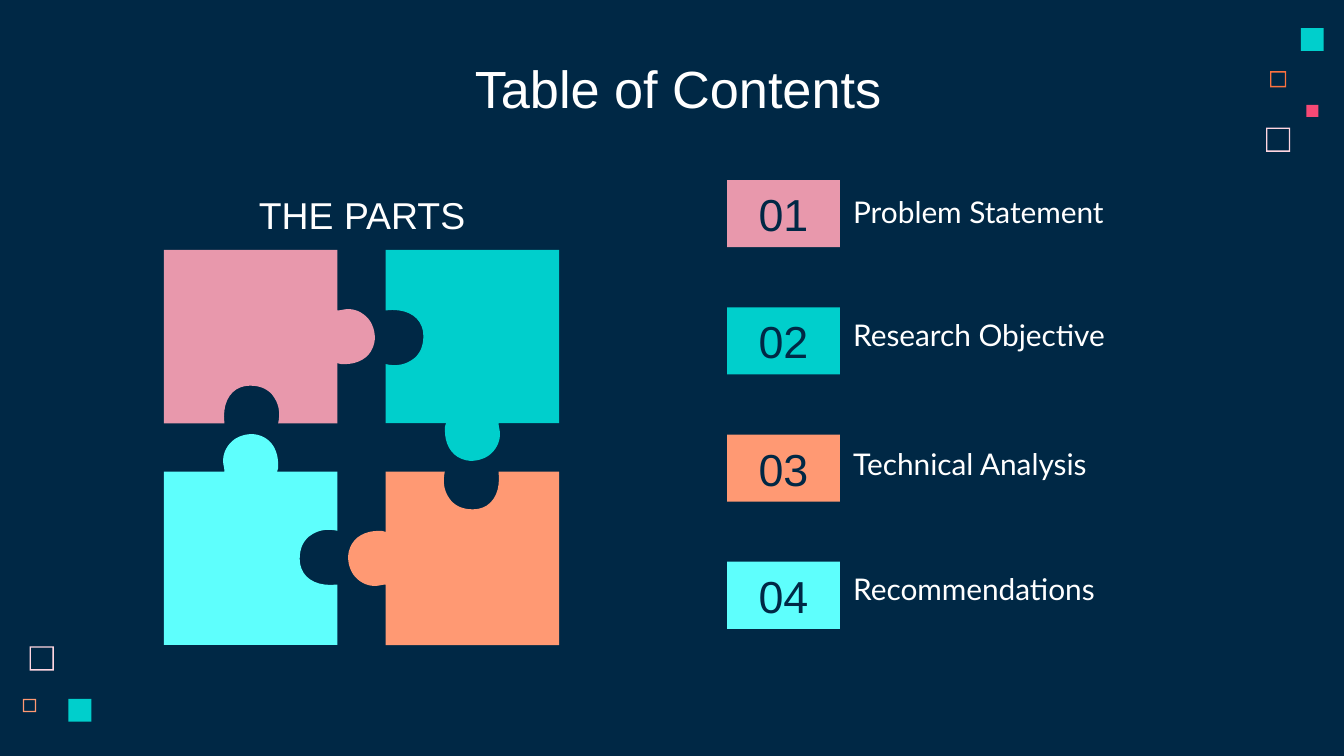
from pptx import Presentation
from pptx.dml.color import RGBColor
from pptx.enum.shapes import MSO_SHAPE
from pptx.enum.text import MSO_ANCHOR, MSO_AUTO_SIZE, PP_ALIGN
from pptx.util import Inches, Pt

NAVY, WHITE = "002845", "FFFFFF"
PINK, TEAL, ORANGE, CYAN = "E898AC", "00CFCC", "FF9973", "5EFFFD"
BLUSH, RUST, RED = "FFD6E1", "FC723F", "F64975"

# Numbered rows: label, colour, top of the label
ROWS = [
    ("Problem Statement", PINK, 1.34),
    ("Research Objective", TEAL, 2.26),
    ("Technical Analysis", ORANGE, 3.22),
    ("Recommendations", CYAN, 4.15),
]
FIRST_ROW, LAST_ROW = 1.34, 4.18

# Corner squares: left, top, size, colour, hollow
SQUARES = [
    (9.42, 0.95, 0.18, BLUSH, True),
    (9.45, 0.53, 0.12, RUST, True),
    (9.68, 0.21, 0.17, TEAL, False),
    (0.17, 5.2, 0.1, ORANGE, True),
    (9.72, 0.78, 0.09, RED, False),
    (0.22, 4.81, 0.18, BLUSH, True),
    (0.51, 5.2, 0.17, TEAL, False),
]
FRAME_WIDTH = 0.01

# Puzzle piece with its socket at the bottom and its tab on the right;
# one point is a line, three points are a curve
PIECE, PITCH = 1.29, 1.65
PUZZLE_LEFT, PUZZLE_TOP = 1.22, 1.86
OUTLINE = [
    [(0, 0)], [(0, 1.29)], [(0.45, 1.29)],
    [(0.43, 1.12), (0.51, 1.01), (0.64, 1.01)],
    [(0.71, 1.01), (0.76, 1.03), (0.8, 1.07)],
    [(0.85, 1.13), (0.87, 1.2), (0.85, 1.29)],
    [(1.29, 1.29)], [(1.29, 0.84)],
    [(1.31, 0.85), (1.32, 0.85), (1.34, 0.85)],
    [(1.47, 0.85), (1.56, 0.78), (1.57, 0.66)],
    [(1.57, 0.6), (1.55, 0.54), (1.51, 0.5)],
    [(1.47, 0.46), (1.42, 0.44), (1.37, 0.44)],
    [(1.34, 0.44), (1.32, 0.45), (1.29, 0.45)],
    [(1.29, 0)],
]
# Column, row, quarter turns and colour
PIECES = [(0, 0, 0, PINK), (1, 1, 2, ORANGE), (1, 0, 1, TEAL), (0, 1, 3, CYAN)]


def rgb(color):
    return RGBColor.from_string(color)


def paint(sp, color):
    sp.fill.solid()
    sp.fill.fore_color.rgb = rgb(color)
    sp.line.fill.background()
    sp.shadow.inherit = False


def write(sp, text, size, font, color, align=PP_ALIGN.LEFT, anchor=MSO_ANCHOR.TOP):
    tf = sp.text_frame
    tf.word_wrap = True
    tf.auto_size = MSO_AUTO_SIZE.NONE
    tf.vertical_anchor = anchor
    tf.margin_left = tf.margin_right = tf.margin_top = tf.margin_bottom = Inches(0.1)
    p = tf.paragraphs[0]
    p.alignment = align
    r = p.add_run()
    r.text = text
    r.font.size = Pt(size)
    r.font.name = font
    r.font.color.rgb = rgb(color)


def add_title(s, text):
    sp = s.shapes.title
    sp.left, sp.top, sp.width, sp.height = map(Inches, (0.83, 0.32, 8.43, 0.63))
    write(sp, text, 28, "Arial", WHITE, PP_ALIGN.CENTER)


def add_square(s, left, top, size, color, hollow):
    kind = MSO_SHAPE.FRAME if hollow else MSO_SHAPE.RECTANGLE
    sp = s.shapes.add_shape(kind, *map(Inches, (left, top, size, size)))
    if hollow:
        sp.adjustments[0] = FRAME_WIDTH / size
    paint(sp, color)


def add_row(s, index, label, color, label_top):
    group = s.shapes.add_group_shape()
    top = FIRST_ROW + index * (LAST_ROW - FIRST_ROW) / (len(ROWS) - 1)
    box = group.shapes.add_shape(MSO_SHAPE.RECTANGLE, *map(Inches, (5.41, top, 0.84, 0.5)))
    paint(box, color)
    write(box, f"{index + 1:02}", 24, "Arial", NAVY, PP_ALIGN.CENTER, MSO_ANCHOR.MIDDLE)
    text = group.shapes.add_textbox(*map(Inches, (6.25, label_top, 2.23, 0.53)))
    write(text, label, 16, "Lato", WHITE)


def curve(start, a, b, end, steps=10):
    """Points along a cubic Bezier curve, without its start."""
    points = []
    for i in range(1, steps + 1):
        t = i / steps
        u = 1 - t
        weights = (u**3, 3 * u * u * t, 3 * u * t * t, t**3)
        points.append(tuple(
            sum(w * pt[axis] for w, pt in zip(weights, (start, a, b, end)))
            for axis in (0, 1)))
    return points


def piece_points():
    points = []
    for segment in OUTLINE:
        points += segment if len(segment) == 1 else curve(points[-1], *segment)
    return points


def add_piece(s, column, row, turns, color):
    points = piece_points()
    for _ in range(turns):
        points = [(PIECE - y, x) for x, y in points]
    left, top = PUZZLE_LEFT + column * PITCH, PUZZLE_TOP + row * PITCH
    points = [(Inches(left + x), Inches(top + y)) for x, y in points]
    builder = s.shapes.build_freeform(*points[0])
    builder.add_line_segments(points[1:], close=True)
    paint(builder.convert_to_shape(), color)


def main():
    prs = Presentation()
    prs.slide_width = Inches(10)
    prs.slide_height = Inches(10) * 9 // 16
    s = prs.slides.add_slide(prs.slide_layouts[5])
    s.background.fill.solid()
    s.background.fill.fore_color.rgb = rgb(NAVY)

    # Corner decoration
    for square in SQUARES:
        add_square(s, *square)

    # Title and contents
    add_title(s, "Table of Contents")
    for index, row in enumerate(ROWS):
        add_row(s, index, *row)

    # Puzzle with its heading
    heading = s.shapes.add_textbox(*map(Inches, (1.58, 1.36, 2.23, 0.5)))
    write(heading, "THE PARTS", 20, "Arial", WHITE, PP_ALIGN.CENTER, MSO_ANCHOR.BOTTOM)
    for piece in PIECES:
        add_piece(s, *piece)

    prs.save("out.pptx")


if __name__ == "__main__":
    main()
